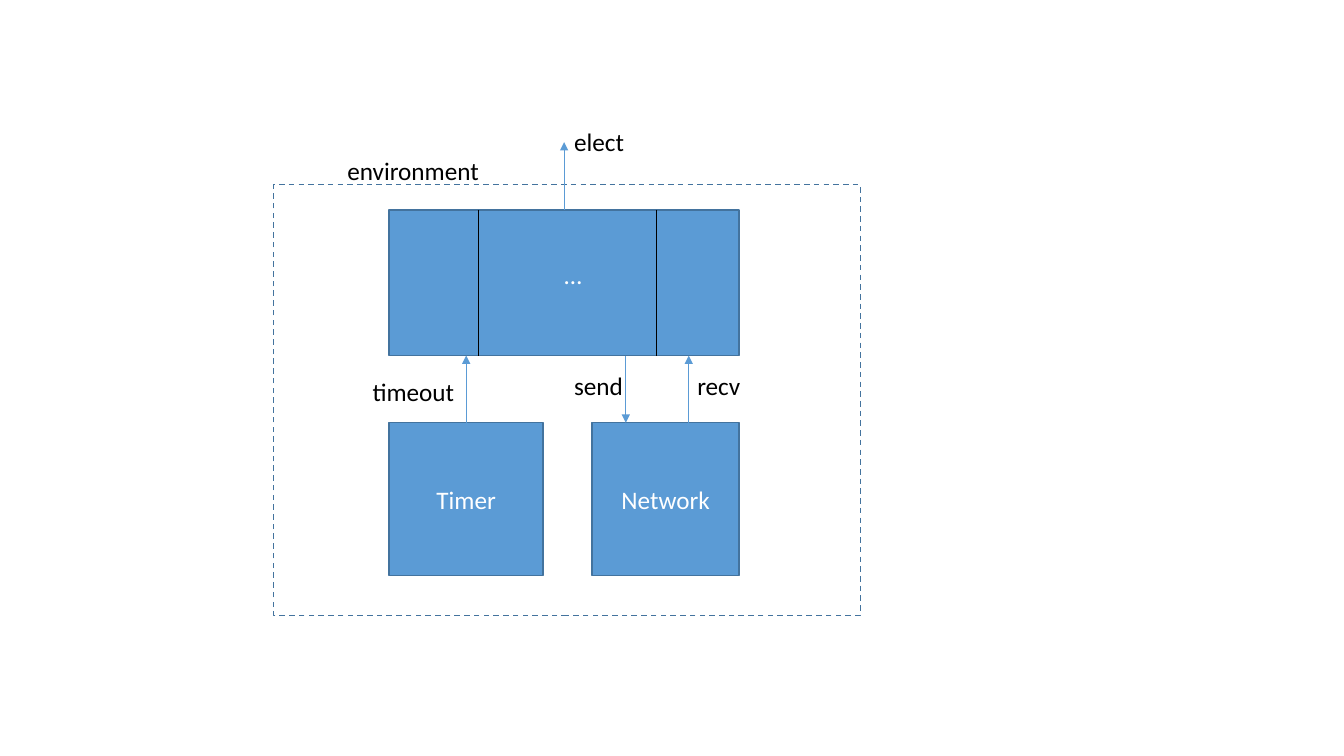
from dataclasses import dataclass

from lxml.etree import SubElement
from pptx import Presentation
from pptx.dml.color import RGBColor
from pptx.enum.dml import MSO_LINE_DASH_STYLE as Dash
from pptx.enum.shapes import MSO_CONNECTOR as Link, MSO_SHAPE as Preset
from pptx.enum.text import MSO_ANCHOR as Anchor, MSO_AUTO_SIZE as AutoSize, PP_ALIGN as Align
from pptx.oxml.ns import qn
from pptx.shapes.autoshape import Shape
from pptx.shapes.connector import Connector
from pptx.slide import Slide
from pptx.text.text import TextFrame
from pptx.util import Pt

BLUE, EDGE, BLACK, WHITE = "5B9BD5", "43739E", "000000", "FFFFFF"
BOTTOM, TOP = 2, 0


@dataclass
class Block:
    left: float
    top: float
    width: float
    height: float
    text: str = ""

    @property
    def bottom(self) -> float:
        return self.top + self.height


@dataclass
class Label:
    text: str
    left: float
    top: float
    width: float
    color: str = BLACK


PROCESSES = Block(278, 150, 250, 104)
TIMER = Block(278, 302, 110, 109, "Timer")
NETWORK = Block(423, 302, 105, 109, "Network")
ENVIRONMENT = Block(195.5, 132, 419, 307.5)

LABELS = [
    Label("…", 396, 182, 27.5, WHITE),
    Label("timeout", 259, 265, 73.5),
    Label("send", 403, 261, 49.5),
    Label("recv", 491, 261, 45.5),
    Label("elect", 403, 86.5, 50.5),
    Label("environment", 241, 107.5, 109.5),
]


def rgb(color: str) -> RGBColor:
    return RGBColor.from_string(color)


def add_run(frame: TextFrame, text: str, color: str, align: Align) -> None:
    para = frame.paragraphs[0]
    para.alignment = align
    span = para.add_run()
    span.text = text
    span.font.name = "Calibri"
    span.font.size = Pt(18)
    span.font.color.rgb = rgb(color)


def add_box(page: Slide, block: Block) -> Shape:
    box = page.shapes.add_shape(
        Preset.RECTANGLE, Pt(block.left), Pt(block.top), Pt(block.width), Pt(block.height))
    box.shadow.inherit = False
    box.fill.solid()
    box.fill.fore_color.rgb = rgb(BLUE)
    box.line.color.rgb = rgb(EDGE)
    box.line.width = Pt(1)
    if block.text:
        box.text_frame.vertical_anchor = Anchor.MIDDLE
        add_run(box.text_frame, block.text, WHITE, Align.CENTER)
    return box


def add_vertical(page: Slide, x: float, start: float, end: float, color: str) -> Connector:
    line = page.shapes.add_connector(Link.STRAIGHT, Pt(x), Pt(start), Pt(x), Pt(end))
    line.line.color.rgb = rgb(color)
    line.line.width = Pt(0.5)
    SubElement(line._element.spPr, qn("a:effectLst"))
    return line


def add_arrow(page: Slide, x: float, start: float, end: float) -> Connector:
    arrow = add_vertical(page, x, start, end, BLUE)
    SubElement(arrow.line._get_or_add_ln(), qn("a:tailEnd"), type="triangle")
    return arrow


def add_label(page: Slide, label: Label) -> None:
    box = page.shapes.add_textbox(Pt(label.left), Pt(label.top), Pt(label.width), Pt(29))
    box.text_frame.word_wrap = False
    box.text_frame.auto_size = AutoSize.SHAPE_TO_FIT_TEXT
    add_run(box.text_frame, label.text, label.color, Align.LEFT)


def main() -> None:
    deck = Presentation()
    deck.slide_width, deck.slide_height = Pt(960), Pt(540)
    page = deck.slides.add_slide(deck.slide_layouts[6])

    frame = add_box(page, ENVIRONMENT)
    frame.fill.background()
    frame.line.dash_style = Dash.DASH

    processes, timer, _ = [add_box(page, block) for block in (PROCESSES, TIMER, NETWORK)]
    for x in (342, 469):
        add_vertical(page, x, PROCESSES.top, PROCESSES.bottom, BLACK)

    timeout = add_arrow(page, 333, TIMER.top, PROCESSES.bottom)
    timeout.begin_connect(timer, TOP)
    elect = add_arrow(page, 403, PROCESSES.top, 101.5)
    elect.begin_connect(processes, TOP)
    add_arrow(page, 447, PROCESSES.bottom, NETWORK.top)
    add_arrow(page, 492, NETWORK.top, PROCESSES.bottom)

    for label in LABELS:
        add_label(page, label)

    deck.save("out.pptx")


if __name__ == "__main__":
    main()
